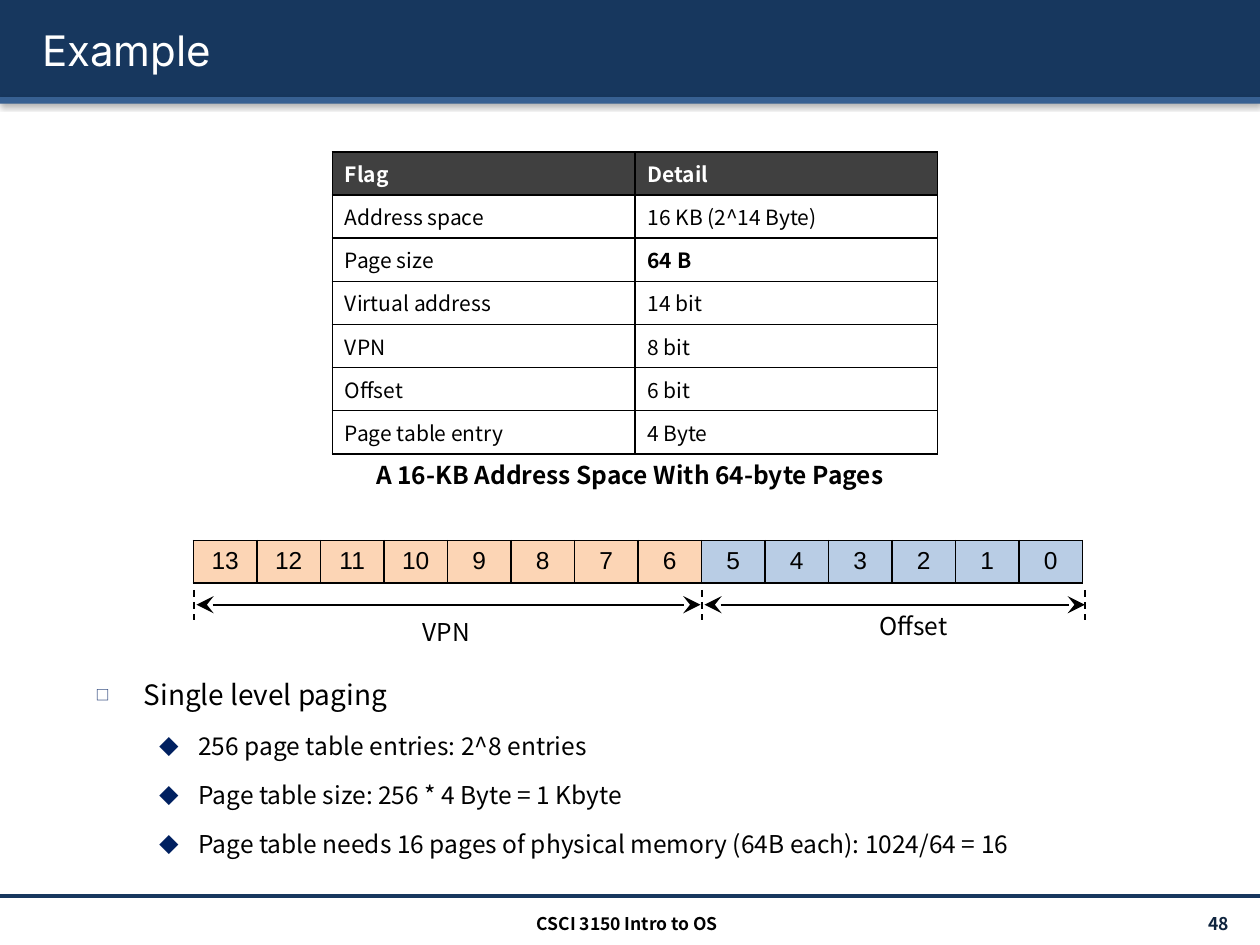
from lxml import etree
from pptx import Presentation
from pptx.dml.color import RGBColor
from pptx.enum.dml import MSO_LINE
from pptx.enum.shapes import MSO_CONNECTOR, MSO_SHAPE
from pptx.enum.text import MSO_ANCHOR, PP_ALIGN
from pptx.oxml import parse_xml
from pptx.oxml.ns import qn
from pptx.util import Cm, Pt

RECT, LINE, DASH = MSO_SHAPE.RECTANGLE, MSO_CONNECTOR.STRAIGHT, MSO_LINE.DASH
LEFT, MID, RIGHT = PP_ALIGN.LEFT, PP_ALIGN.CENTER, PP_ALIGN.RIGHT
TOP, CENTER = MSO_ANCHOR.TOP, MSO_ANCHOR.MIDDLE
NS = 'xmlns:a="http://schemas.openxmlformats.org/drawingml/2006/main"'
SANS = "Noto Sans CJK KR"
HUE = {
    "navy": "17375E", "blue": "376092", "page": "0F243E", "mark": "002060",
    "head": "404040", "peach": "FCD5B5", "sky": "B9CDE5",
    "black": "000000", "white": "FFFFFF",
}


def tint(name):
    return RGBColor.from_string(HUE[name])


def write(para, text, size, color="black", bold=False, font=SANS):
    run = para.add_run()
    run.text = text
    run.font.size, run.font.name, run.font.bold = Pt(size), font, bold
    run.font.color.rgb = tint(color)
    return run


deck = Presentation()
deck.slide_width, deck.slide_height = Cm(25.4), Cm(19.05)
slide = deck.slides.add_slide(deck.slide_layouts[6])
shapes = slide.shapes

# Header bands with a soft shadow
for top, high, color in [(0, 1.96, "navy"), (1.96, 0.13, "blue")]:
    band = shapes.add_shape(RECT, 0, Cm(top), Cm(25.4), Cm(high))
    band.fill.solid()
    band.fill.fore_color.rgb = tint(color)
    band.line.fill.background()
    band._element.spPr.append(parse_xml(
        f'<a:effectLst {NS}><a:outerShdw blurRad="39370" dist="20320" dir="5400000" '
        'rotWithShape="0"><a:srgbClr val="000000"><a:alpha val="38000"/></a:srgbClr>'
        '</a:outerShdw></a:effectLst>'))

# Title, footer, caption and field names
texts = [
    ("Example", 0.6, 0.18, 24.41, 1.63, 24, "white", False, "Inter", LEFT, CENTER),
    ("48 ", 22.14, 18.31, 2.97, 0.61, 10, "page", True, SANS, RIGHT, CENTER),
    ("CSCI 3150 Intro to OS", 8.43, 18.29, 8.43, 0.61, 10, "black", True, SANS, MID, TOP),
    ("A 16-KB Address Space With 64-byte Pages", 7, 9.14, 11.4, 0.86, 14, "black", True,
     SANS, MID, TOP),
    ("VPN", 8.27, 12.31, 1.5, 0.86, 14, "black", False, SANS, LEFT, TOP),
    ("Offset", 17.48, 12.19, 1.88, 0.86, 14, "black", False, SANS, LEFT, TOP),
]
for text, x, y, w, h, size, color, bold, font, align, anchor in texts:
    frame = shapes.add_textbox(Cm(x), Cm(y), Cm(w), Cm(h)).text_frame
    frame.word_wrap = text not in ("VPN", "Offset")
    frame.vertical_anchor = anchor
    para = frame.paragraphs[0]
    para.alignment = align
    run = write(para, text, size, color, bold, font)
    if text == "Example":
        fill = run.font._element.find(qn("a:solidFill"))
        fill.addnext(parse_xml(
            f'<a:effectLst {NS}><a:outerShdw blurRad="38100" dist="38100" dir="2700000">'
            '<a:srgbClr val="000000"/></a:outerShdw></a:effectLst>'))

# Flag table and address bits
flags = [
    ("Flag", "Detail"), ("Address space", "16 KB (2^14 Byte)"), ("Page size", "64 B"),
    ("Virtual address", "14 bit"), ("VPN", "8 bit"), ("Offset", "6 bit"),
    ("Page table entry", "4 Byte"),
]
bits = [[str(bit) for bit in range(13, -1, -1)]]
grids = [(flags, 6.7, 3.06, 6.1, 0.87, 12, SANS, LEFT),
         (bits, 3.9, 10.9, 1.28, 0.84, 14, "Arial", MID)]
for rows, x, y, wide, high, size, font, align in grids:
    count = len(rows[0])
    table = shapes.add_table(len(rows), count, Cm(x), Cm(y),
                             Cm(wide * count), Cm(high * len(rows))).table
    for col in table.columns:
        col.width = Cm(wide)
    for r, row in enumerate(rows):
        table.rows[r].height = Cm(high)
        for c, text in enumerate(row):
            cell = table.cell(r, c)
            head = rows is flags and r == 0
            if rows is bits:
                back = "peach" if c < 8 else "sky"
            else:
                back = "head" if head else "white"
            para = cell.text_frame.paragraphs[0]
            para.alignment = align
            write(para, text, size, "white" if head else "black",
                  head or text == "64 B", font)
            for side in ("lnL", "lnR", "lnT", "lnB"):
                cell._tc.get_or_add_tcPr().append(parse_xml(
                    f'<a:{side} {NS} w="12700"><a:solidFill><a:srgbClr val="000000"/>'
                    f'</a:solidFill></a:{side}>'))
            cell.fill.solid()
            cell.fill.fore_color.rgb = tint(back)

# Footer rule, field limits and field arrows
lines = [(0, 18.06, 25.4, 18.06, "rule")]
lines += [(x, 11.89, x, 12.5, "limit") for x in (3.91, 14.15, 21.87)]
lines += [(3.96, 12.19, 14.12, 12.19, "arrow"), (14.2, 12.19, 21.87, 12.19, "arrow")]
for x1, y1, x2, y2, kind in lines:
    link = shapes.add_connector(LINE, Cm(x1), Cm(y1), Cm(x2), Cm(y2))
    link.line.color.rgb = tint("navy" if kind == "rule" else "black")
    link.line.width = Pt(2 if kind == "rule" else 1)
    if kind == "limit":
        link.line.dash_style = DASH
    if kind == "arrow":
        for end in ("headEnd", "tailEnd"):
            etree.SubElement(link.line._get_or_add_ln(), qn(f"a:{end}"),
                             type="stealth", w="lg", len="lg")
    etree.SubElement(link._element.spPr, qn("a:effectLst"))

# Bullet list
points = [
    (0, "Single level paging"),
    (1, "256 page table entries: 2^8 entries"),
    (1, "Page table size: 256 * 4 Byte = 1 Kbyte"),
    (1, "Page table needs 16 pages of physical memory (64B each): 1024/64 = 16"),
]
looks = [(16, 0.97, -0.97, 50, "□"), (14, 2.07, -0.79, 80, "◆")]
frame = shapes.add_textbox(Cm(1.68), Cm(13.2), Cm(20.45), Cm(4.39)).text_frame
frame.word_wrap = True
for i, (level, text) in enumerate(points):
    size, left, hang, scale, mark = looks[level]
    para = frame.add_paragraph() if i else frame.paragraphs[0]
    para.level, para.line_spacing = level, 1.5
    write(para, text, size)
    props = para._p.get_or_add_pPr()
    props.set("marL", str(Cm(left)))
    props.set("indent", str(Cm(hang)))
    for part in (
        f'<a:spcBef {NS}><a:spcPct val="20000"/></a:spcBef>',
        f'<a:buClr {NS}><a:srgbClr val="{HUE["mark"]}"/></a:buClr>',
        f'<a:buSzPct {NS} val="{scale * 1000}"/>',
        f'<a:buFont {NS} typeface="{SANS}"/>',
        f'<a:buChar {NS} char="{mark}"/>',
    ):
        props.append(parse_xml(part))

deck.save("out.pptx")
